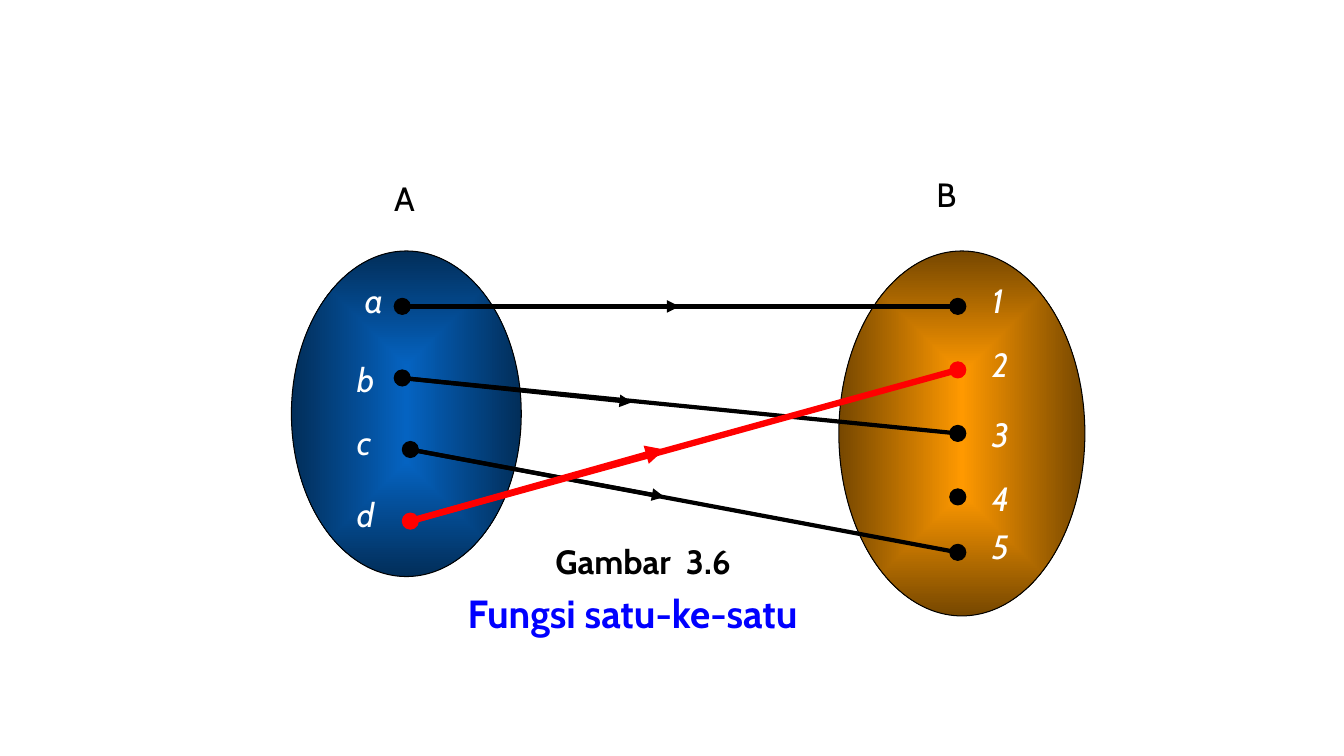
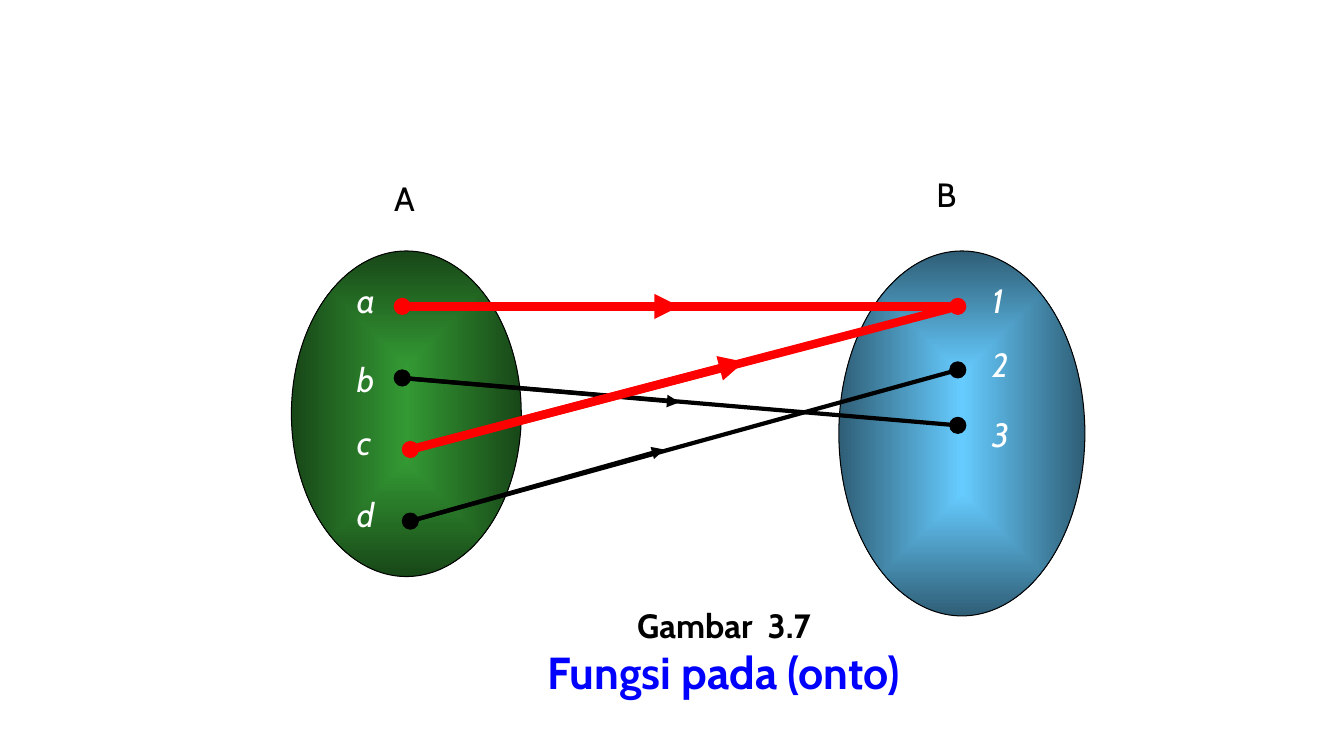
from lxml import etree
from pptx import Presentation
from pptx.dml.color import RGBColor
from pptx.enum.shapes import MSO_CONNECTOR, MSO_SHAPE
from pptx.enum.text import MSO_AUTO_SIZE, PP_ALIGN
from pptx.oxml import parse_xml
from pptx.oxml.ns import qn
from pptx.util import Inches, Pt

FONT = "Cabin"
BLACK = RGBColor(0x00, 0x00, 0x00)
WHITE = RGBColor(0xFF, 0xFF, 0xFF)
RED = RGBColor(0xFF, 0x00, 0x00)
CAPTION_BLUE = RGBColor(0x00, 0x00, 0xFF)
NAVY = (RGBColor(0x05, 0x63, 0xC1), RGBColor(0x02, 0x2E, 0x59))
ORANGE = (RGBColor(0xFF, 0x99, 0x00), RGBColor(0x76, 0x47, 0x00))
GREEN = (RGBColor(0x33, 0x99, 0x33), RGBColor(0x18, 0x47, 0x18))
SKY = (RGBColor(0x66, 0xCC, 0xFF), RGBColor(0x2F, 0x5E, 0x76))
CENTRE_GRADIENT = (
    '<a:path xmlns:a="http://schemas.openxmlformats.org/drawingml/2006/main" path="shape">'
    '<a:fillToRect l="50000" t="50000" r="50000" b="50000"/></a:path>'
)
DOT = 0.16
SET_BOXES = [(2.89, 2.49, 2.28, 3.23), (8.32, 2.49, 2.44, 3.62)]
SET_NAMES = [("A", 3.81, 1.72), ("B", 9.19, 1.68)]
DOMAIN_X = {"a": 3.99, "b": 3.99, "c": 4.07, "d": 4.07}
DOMAIN_DOTS = {name: (x, 3.04 + 0.71 * row) for row, (name, x) in enumerate(DOMAIN_X.items())}
LABEL_TOPS = {"a": 2.73, "b": 3.51, "c": 4.14, "d": 4.85,
              "1": 2.73, "2": 3.36, "3": 4.06, "4": 4.69, "5": 5.17}

FIGURES = [
    {
        "colours": (NAVY, ORANGE),
        "a_label_left": 3.52,
        "codomain": {"1": 3.04, "2": 3.67, "3": 4.3, "4": 4.93, "5": 5.48},
        "red_dots": "d2",
        "arrows": [("a", "1", BLACK, 3, (6.74, 3.04)),
                   ("b", "3", BLACK, 3, (6.27, 3.99)),
                   ("c", "5", BLACK, 3, (6.59, 4.93)),
                   ("d", "2", RED, 4.5, (6.59, 4.46))],
        "captions": [
            ((5.41, 5.32, 2.34, 0.5), PP_ALIGN.LEFT, [("Gambar  3.6", 24, BLACK)]),
            ((4.54, 5.8, 4.09, 0.57), PP_ALIGN.LEFT, [("Fungsi satu-ke-satu", 28, CAPTION_BLUE)]),
        ],
    },
    {
        "colours": (GREEN, SKY),
        "a_label_left": 3.44,
        "codomain": {"1": 3.04, "2": 3.67, "3": 4.22},
        "red_dots": "ac1",
        "arrows": [("a", "1", RED, 6, (6.74, 3.04)),
                   ("b", "3", BLACK, 3, (6.74, 3.99)),
                   ("d", "2", BLACK, 3, (6.59, 4.46)),
                   ("c", "1", RED, 6, (7.38, 3.59))],
        "captions": [
            ((4.94, 5.95, 4.48, 1.04), PP_ALIGN.CENTER,
             [("Gambar  3.7", 24, BLACK), ("Fungsi pada (onto)", 32, CAPTION_BLUE)]),
        ],
    },
]


def add_text(slide, box, lines, align=PP_ALIGN.LEFT, bold=False, italic=False):
    frame = slide.shapes.add_textbox(*map(Inches, box)).text_frame
    frame.word_wrap = False
    frame.auto_size = MSO_AUTO_SIZE.SHAPE_TO_FIT_TEXT
    for index, (text, size, colour) in enumerate(lines):
        paragraph = frame.add_paragraph() if index else frame.paragraphs[0]
        paragraph.alignment = align
        run = paragraph.add_run()
        run.text = text
        run.font.name = FONT
        run.font.size = Pt(size)
        run.font.bold = bold
        run.font.italic = italic
        run.font.color.rgb = colour


def add_ellipse(slide, box, line_colour):
    ellipse = slide.shapes.add_shape(MSO_SHAPE.OVAL, *map(Inches, box))
    ellipse.shadow.inherit = False
    ellipse.line.color.rgb = line_colour
    ellipse.line.width = Pt(0.75)
    return ellipse


presentation = Presentation()
presentation.slide_width = Inches(13.33)
presentation.slide_height = Inches(7.5)

for figure in FIGURES:
    slide = presentation.slides.add_slide(presentation.slide_layouts[6])
    codomain_dots = {name: (9.5, y) for name, y in figure["codomain"].items()}
    dots = {**DOMAIN_DOTS, **codomain_dots}

    for box, colours in zip(SET_BOXES, figure["colours"]):
        set_oval = add_ellipse(slide, box, BLACK)
        set_oval.fill.gradient()
        for stop, colour in zip(set_oval.fill.gradient_stops, colours):
            stop.color.rgb = colour
        gradient = set_oval.element.spPr.find(qn("a:gradFill"))
        gradient.replace(gradient.find(qn("a:lin")), parse_xml(CENTRE_GRADIENT))

    for name, (x, y) in dots.items():
        colour = RED if name in figure["red_dots"] else BLACK
        dot = add_ellipse(slide, (x - DOT / 2, y - DOT / 2, DOT, DOT), colour)
        dot.fill.solid()
        dot.fill.fore_color.rgb = colour

    for source, target, colour, width, arrow_tip in figure["arrows"]:
        for end in (dots[target], arrow_tip):
            mapping = slide.shapes.add_connector(
                MSO_CONNECTOR.STRAIGHT, *map(Inches, (*dots[source], *end)))
            mapping.line.color.rgb = colour
            mapping.line.width = Pt(width)
            if end == arrow_tip:
                etree.SubElement(mapping.line._get_or_add_ln(), qn("a:tailEnd"), type="triangle")
            etree.SubElement(mapping.element.spPr, qn("a:effectLst"))

    for name, left, top in SET_NAMES:
        add_text(slide, (left, top, 0.4, 0.5), [(name, 24, BLACK)])

    for name in dots:
        if name in codomain_dots:
            left = 9.74
        else:
            left = figure["a_label_left"] if name == "a" else 3.44
        add_text(slide, (left, LABEL_TOPS[name], 0.38, 0.5), [(name, 24, WHITE)], italic=True)

    for box, align, lines in figure["captions"]:
        add_text(slide, box, lines, align, bold=True)

presentation.save("out.pptx")
